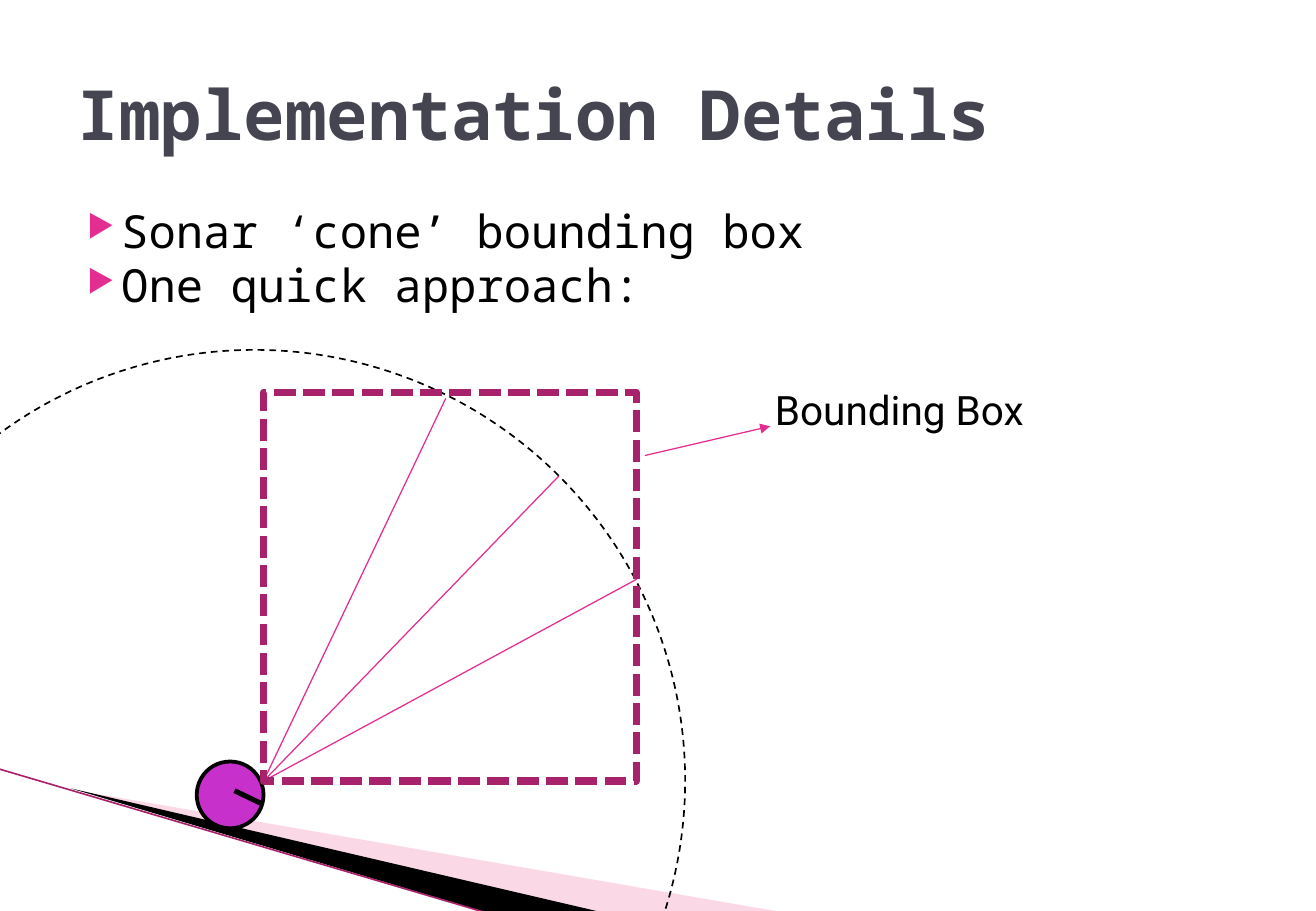
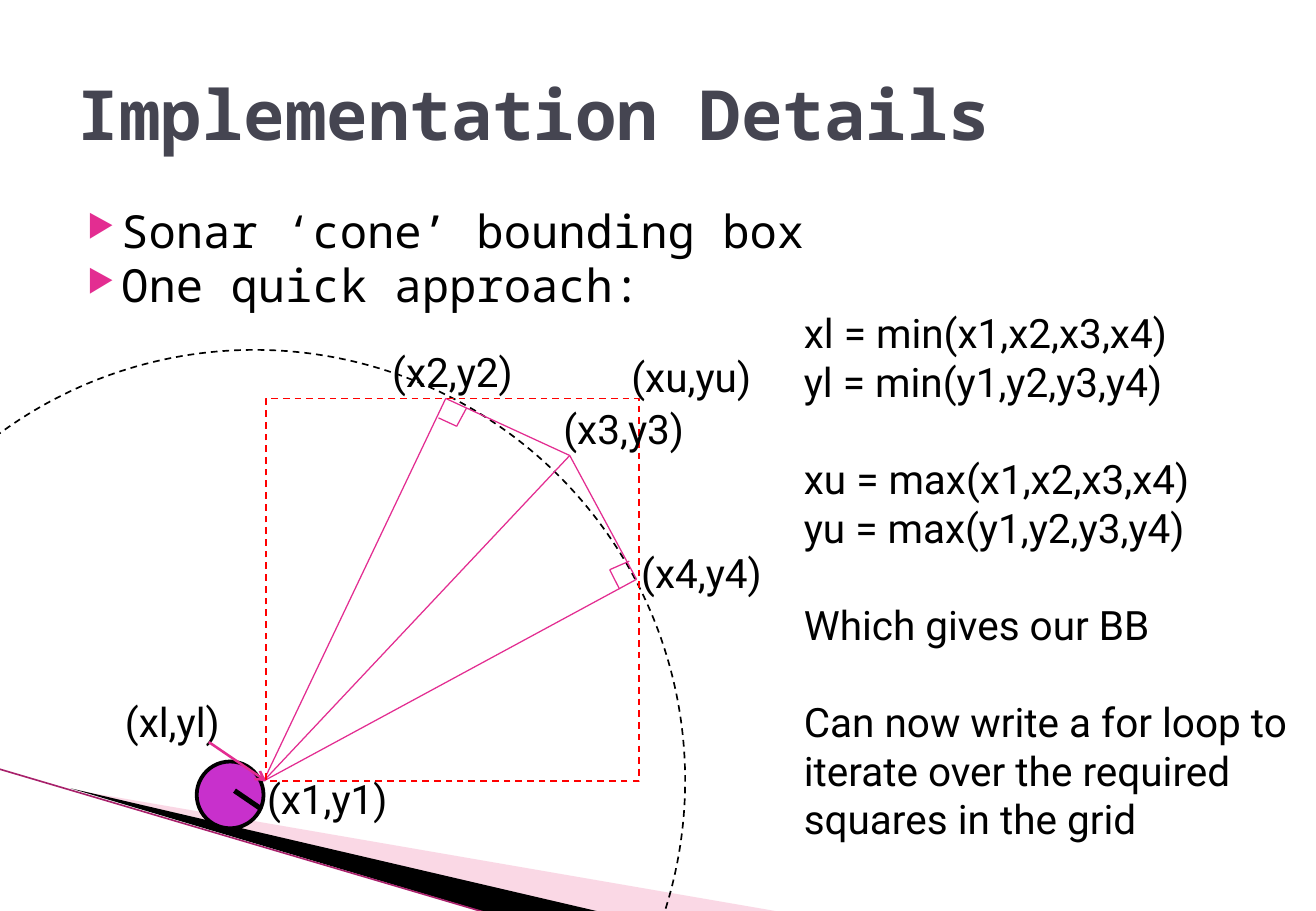
from lxml import etree
from pptx import Presentation
from pptx.dml.color import RGBColor
from pptx.enum import dml, shapes, text
from pptx.oxml.ns import qn
from pptx.util import Pt

# Shared colours and fonts
BLACK, TITLE, PINK, PLUM = "000000", "454551", "E32D91", "A8216B"
PALE, ROBOT, RED = "F39EC0", "C830CC", "FF0000"
MONO, SANS = "Noto Sans Mono", "Roboto"
DASH, SYS_DASH = dml.MSO_LINE.DASH, dml.MSO_LINE.SQUARE_DOT

# Shared points of the sonar cone
ORIGIN = (156.2, 463)
LEFT_HIT, RIGHT_HIT = (264.2, 236.2), (377.3, 343.4)
ARC_HIT, TANGENT_MEET = (331.2, 282.2), (337.7, 270)


def rgb(value):
    return RGBColor.from_string(value)


def child(parent, tag, **attrs):
    return etree.SubElement(parent, qn(tag), attrs)


def set_line(line, color, width, dash=None):
    line.color.rgb = rgb(color)
    line.width = Pt(width)
    if dash:
        line.dash_style = dash


def add_outline(s, kind, box, color, width, dash=None, fill=None):
    sp = s.shapes.add_shape(kind, *map(Pt, box))
    sp.shadow.inherit = False
    if fill:
        sp.fill.solid()
        sp.fill.fore_color.rgb = rgb(fill)
    else:
        sp.fill.background()
    set_line(sp.line, color, width, dash)


def add_line(s, start, end, color=PINK, width=0.75, head=None):
    ln = s.shapes.add_connector(shapes.MSO_CONNECTOR.STRAIGHT,
                                *map(Pt, (*start, *end)))
    set_line(ln.line, color, width)
    if head:
        child(ln.line._get_or_add_ln(), "a:tailEnd", type=head)
    child(ln._element.spPr, "a:effectLst")


def add_wedge(s, points, fill, alpha=None):
    first, *rest = [(Pt(x), Pt(y)) for x, y in points]
    builder = s.shapes.build_freeform(*first, scale=1.0)
    builder.add_line_segments(rest, close=True)
    sp = builder.convert_to_shape()
    sp.shadow.inherit = False
    sp.fill.solid()
    sp.fill.fore_color.rgb = rgb(fill)
    sp.line.fill.background()
    if alpha:
        clr = sp._element.spPr.find(".//" + qn("a:srgbClr"))
        child(clr, "a:alpha", val=str(alpha * 1000))


def add_text(s, box, lines, size=24, font=SANS, color=BLACK, bold=False):
    tf = s.shapes.add_textbox(*map(Pt, box)).text_frame
    tf.word_wrap = True
    for i, line in enumerate(lines):
        p = tf.paragraphs[0] if i == 0 else tf.add_paragraph()
        p.text = line
        p.font.size, p.font.name, p.font.bold = Pt(size), font, bold
        p.font.color.rgb = rgb(color)
    return tf


def add_bullet(p):
    pPr = p._p.get_or_add_pPr()
    pPr.set("marL", str(Pt(28.8)))
    pPr.set("indent", str(-Pt(20.2)))
    marks = [etree.Element(qn(tag)) for tag in ("a:buClr", "a:buSzPct", "a:buChar")]
    child(marks[0], "a:srgbClr", val=PINK)
    marks[1].set("val", "68000")
    marks[2].set("char", "▶")
    for i, mark in enumerate(marks):
        pPr.insert(i, mark)


def add_base(prs):
    """Corner wedges, title, bullets and sonar range circle."""
    s = prs.slides.add_slide(prs.slide_layouts[6])
    add_wedge(s, [(42.5, 468), (463.7, 540.7), (355.7, 540.7)], PALE, 40)
    add_wedge(s, [(41.8, 467.3), (356.4, 540.7), (290.2, 541.4)], BLACK)
    add_line(s, (-0.7, 455.8), (289.4, 541.4), PLUM, 0.95)
    tf = add_text(s, (38.9, 21.6, 702, 90), ["Implementation Details"],
                  41, MONO, TITLE, True)
    tf.vertical_anchor = text.MSO_ANCHOR.MIDDLE
    tf = add_text(s, (36, 116.6, 648, 356.4),
                  ["Sonar ‘cone’ bounding box", "One quick approach:"], 27, MONO)
    for p in tf.paragraphs:
        add_bullet(p)
    add_outline(s, shapes.MSO_SHAPE.OVAL, (-104.4, 207.4, 510.5, 510.5),
                BLACK, 1, DASH)
    return s


def add_cone(s, middle, heading):
    """Three sonar rays and the robot with its heading mark."""
    for hit in (middle, RIGHT_HIT, LEFT_HIT):
        add_line(s, ORIGIN, hit)
    add_outline(s, shapes.MSO_SHAPE.OVAL, (116.6, 451.4, 39.6, 39.6),
                BLACK, 2.25, fill=ROBOT)
    add_line(s, (139, 468.7), heading, BLACK, 3)


def bounding_box_slide(prs):
    s = add_base(prs)
    add_cone(s, ARC_HIT, (155.5, 476.6))
    add_outline(s, shapes.MSO_SHAPE.RECTANGLE, (156.2, 232.6, 221, 230.4),
                PLUM, 4.33, SYS_DASH)
    add_line(s, (382.3, 270), (456.5, 252.7), head="triangle")
    add_text(s, (452.2, 224.6, 162, 36), ["Bounding Box"])


def coordinates_slide(prs):
    s = add_base(prs)
    add_cone(s, TANGENT_MEET, (154.8, 479.5))

    # Tangents and right-angle marks
    for hit in (LEFT_HIT, RIGHT_HIT):
        add_line(s, TANGENT_MEET, hit)
    for corner, ends in (((270.7, 252.7), ((259.9, 247.7), (276.5, 241.9))),
                         ((361.4, 337.7), ((367.2, 349.2), (373, 332.6)))):
        for end in ends:
            add_line(s, corner, end)

    # Formulas, in groups one line apart
    tf = add_text(s, (469.4, 179.3, 310, 336), [
        "xl = min(x1,x2,x3,x4)", "yl = min(y1,y2,y3,y4)",
        "xu = max(x1,x2,x3,x4)", "yu = max(y1,y2,y3,y4)",
        "Which gives our BB", "Can now write a for loop to",
        "iterate over the required", "squares in the grid"])
    for i in (2, 4, 5):
        tf.paragraphs[i].space_before = Pt(28.8)

    # Box and point labels
    add_outline(s, shapes.MSO_SHAPE.RECTANGLE, (157.7, 236.2, 221, 226.8),
                RED, 1, DASH)
    for label, x, y in (("(x1,y1)", 151.2, 455), ("(x2,y2)", 225.4, 202.3),
                        ("(x3,y3)", 326.9, 236.2), ("(x4,y4)", 373, 321.1),
                        ("(xl,yl)", 67, 409.7), ("(xu,yu)", 367.2, 205.2)):
        add_text(s, (x, y, 91.4, 36), [label])
    add_line(s, (123.8, 439.9), (157.7, 463), width=1.5, head="arrow")


def main():
    prs = Presentation()
    prs.slide_width, prs.slide_height = Pt(780), Pt(540)
    bounding_box_slide(prs)
    coordinates_slide(prs)
    prs.save("out.pptx")


if __name__ == "__main__":
    main()
